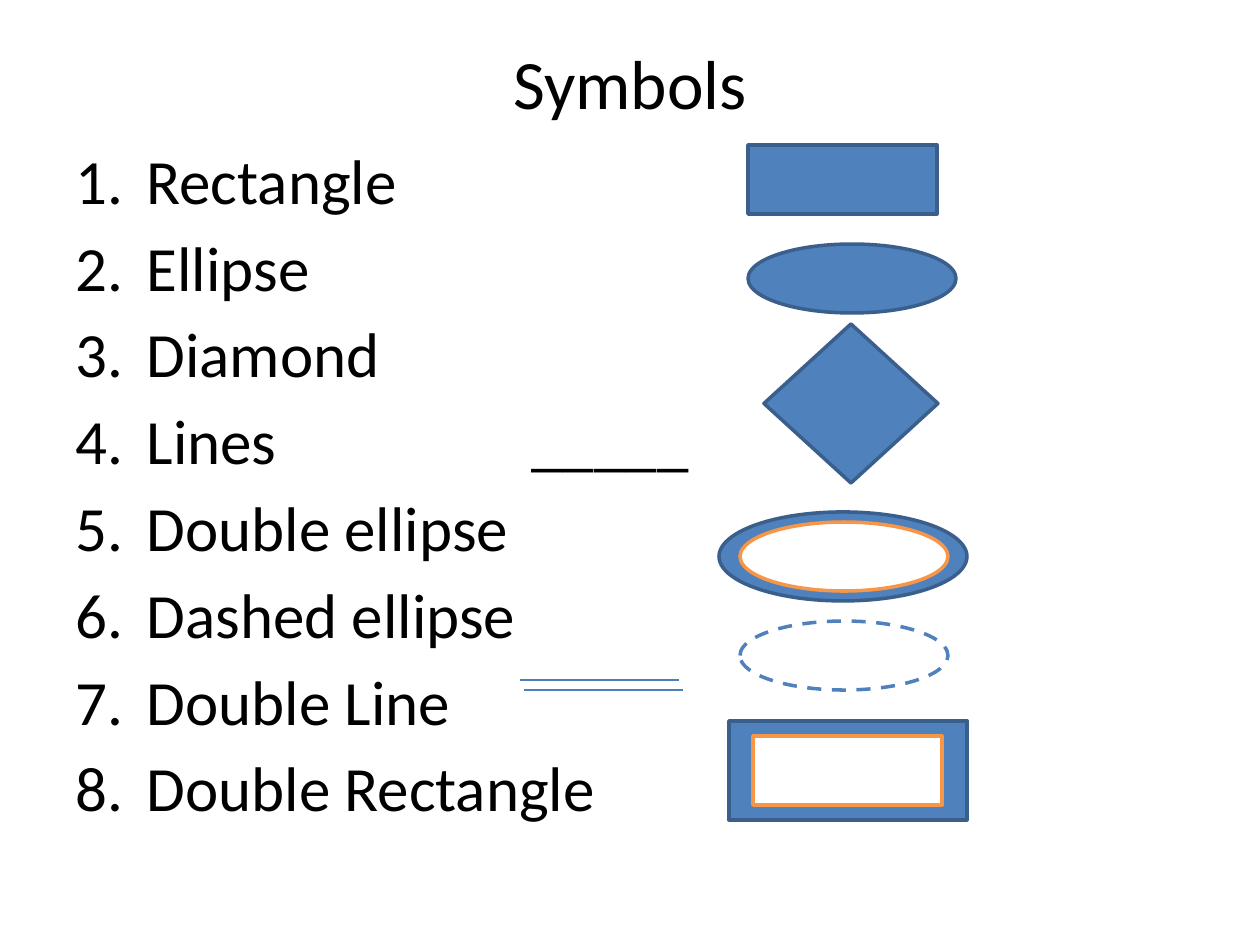
from lxml import etree
from pptx import Presentation
from pptx.dml.color import RGBColor
from pptx.enum.dml import MSO_LINE
from pptx.enum.shapes import MSO_CONNECTOR, MSO_SHAPE
from pptx.enum.text import MSO_ANCHOR, MSO_AUTO_SIZE, PP_ALIGN
from pptx.oxml.ns import qn
from pptx.util import Emu, Pt

RECTANGLE = MSO_SHAPE.RECTANGLE
ELLIPSE = MSO_SHAPE.OVAL
DIAMOND = MSO_SHAPE.DIAMOND
STRAIGHT = MSO_CONNECTOR.STRAIGHT
DASH = MSO_LINE.DASH
MIDDLE, TOP = MSO_ANCHOR.MIDDLE, MSO_ANCHOR.TOP
CENTER, LEFT = PP_ALIGN.CENTER, PP_ALIGN.LEFT
NO_AUTOFIT = MSO_AUTO_SIZE.NONE

EMU_PER_PX = 914400 / 126
COLORS = {
    "text": "000000",
    "paper": "FFFFFF",
    "blue": "4F81BD",
    "outline": "3A5F8C",
    "orange": "F79646",
    "stroke": "4B7EBC",
}
SYMBOL_NAMES = [
    "Rectangle",
    "Ellipse",
    "Diamond",
    "Lines\t_____",
    "Double ellipse",
    "Dashed ellipse",
    "Double Line",
    "Double Rectangle",
]
SOLID = ("blue", "outline", None)
INNER = ("paper", "orange", None)
DASHED = ("paper", "blue", DASH)
SYMBOLS = [
    (RECTANGLE, (748, 145, 189, 69), SOLID),
    (ELLIPSE, (748, 244, 208, 69), SOLID),
    (DIAMOND, (764, 324, 174, 159), SOLID),
    (ELLIPSE, (719, 512, 248, 89), SOLID),
    (ELLIPSE, (740, 522, 208, 69), INNER),
    (ELLIPSE, (740, 621, 208, 69), DASHED),
    (RECTANGLE, (729, 721, 238, 99), SOLID),
    (RECTANGLE, (753, 736, 189, 69), INNER),
]
DOUBLE_LINE = [(520, 680), (524, 690)]
LINE_LENGTH = 159
NUMBER_INDENT = 71
LINES_TAB = 456


def px(length):
    return Emu(round(length * EMU_PER_PX))


def color(name):
    return RGBColor.from_string(COLORS[name])


def apply(target, values):
    for attribute, value in values.items():
        setattr(target, attribute, value)


def place(target, box):
    apply(target, dict(zip(("left", "top", "width", "height"), map(px, box))))


def style_text(paragraph, size):
    apply(paragraph.font, {"name": "Calibri", "size": Pt(size)})
    paragraph.font.color.rgb = color("text")


def add_title(slide, wording):
    title = slide.shapes.title
    place(title, (63, 38, 1134, 87))
    frame = title.text_frame
    frame.text = wording
    apply(frame, {"vertical_anchor": MIDDLE, "auto_size": NO_AUTOFIT, "word_wrap": True})
    heading = frame.paragraphs[0]
    heading.alignment = CENTER
    style_text(heading, 39.6)


def number_paragraph(paragraph):
    properties = paragraph._p.get_or_add_pPr()
    properties.set("marL", str(px(NUMBER_INDENT)))
    properties.set("indent", str(-px(NUMBER_INDENT)))
    etree.SubElement(properties, qn("a:buFont"), typeface="+mj-lt")
    etree.SubElement(properties, qn("a:buAutoNum"), type="arabicPeriod")
    if "\t" in paragraph.text:
        tabs = etree.SubElement(properties, qn("a:tabLst"))
        etree.SubElement(tabs, qn("a:tab"), pos=str(px(LINES_TAB)), algn="l")


def add_numbered_list(slide, names):
    body = slide.placeholders[1]
    place(body, (63, 135, 1134, 709))
    frame = body.text_frame
    frame.text = "\n".join(names)
    apply(frame, {"vertical_anchor": TOP, "auto_size": NO_AUTOFIT, "word_wrap": True})
    for index, paragraph in enumerate(frame.paragraphs):
        number_paragraph(paragraph)
        apply(paragraph, {"alignment": LEFT, "space_before": Pt(6.4 if index else 0)})
        style_text(paragraph, 36)


def add_symbol(slide, outline, box, look):
    fill, stroke, dash = look
    symbol = slide.shapes.add_shape(outline, *map(px, box))
    symbol.shadow.inherit = False
    symbol.fill.solid()
    symbol.fill.fore_color.rgb = color(fill)
    symbol.line.color.rgb = color(stroke)
    apply(symbol.line, {"width": Pt(2), "dash_style": dash})


def add_line(slide, left, top):
    ends = map(px, (left, top, left + LINE_LENGTH, top))
    line = slide.shapes.add_connector(STRAIGHT, *ends)
    line.line.color.rgb = color("stroke")
    line.line.width = Pt(0.75)
    etree.SubElement(line._element.spPr, qn("a:effectLst"))


def main():
    presentation = Presentation()
    apply(presentation, {"slide_width": px(1260), "slide_height": px(945)})
    slide = presentation.slides.add_slide(presentation.slide_layouts[1])
    add_title(slide, "Symbols")
    add_numbered_list(slide, SYMBOL_NAMES)
    for outline, box, look in SYMBOLS:
        add_symbol(slide, outline, box, look)
    for left, top in DOUBLE_LINE:
        add_line(slide, left, top)
    presentation.save("out.pptx")


if __name__ == "__main__":
    main()
